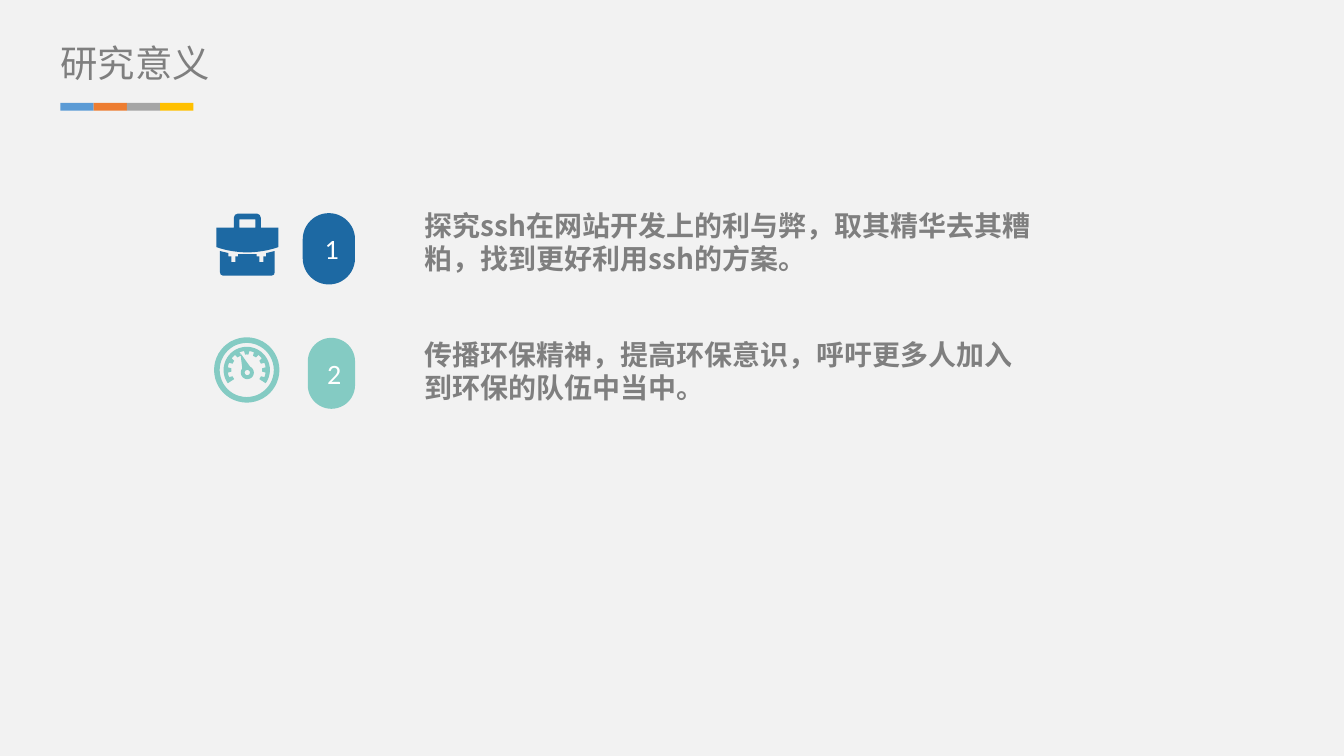
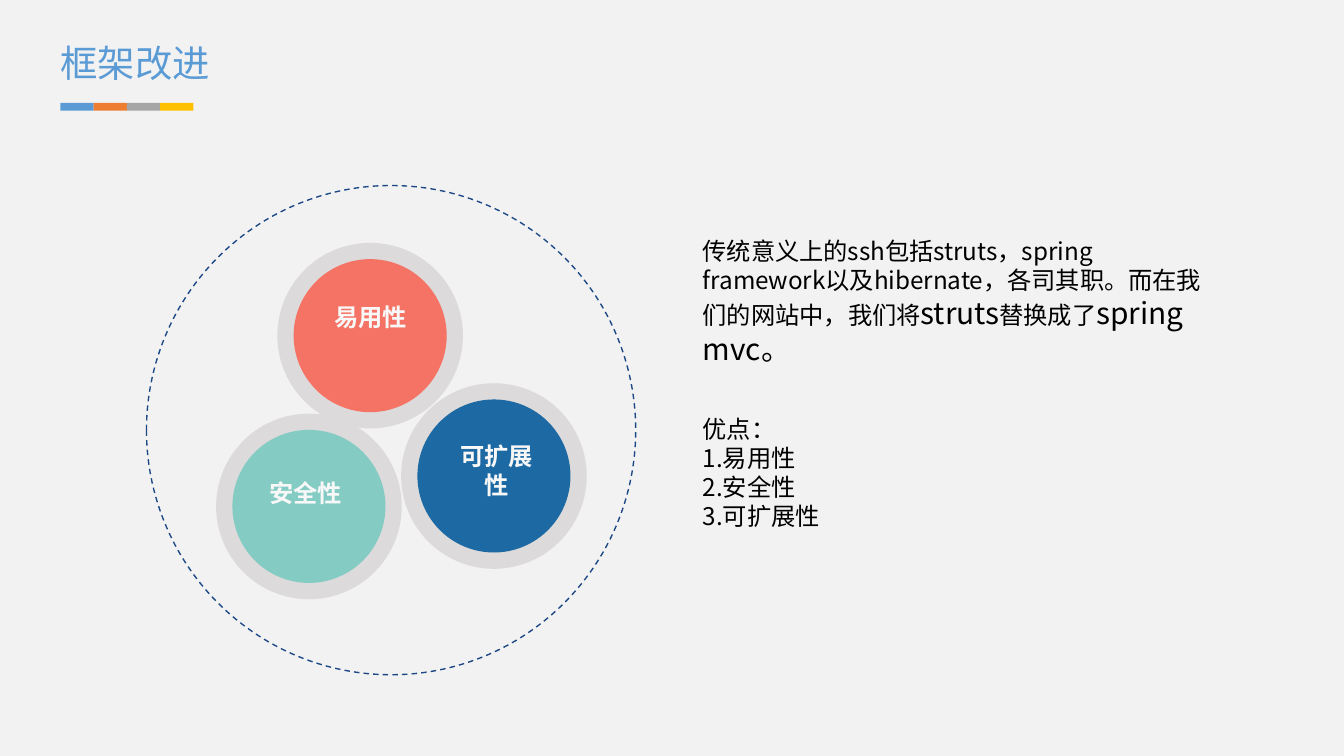
from math import cos, radians, sin

from lxml.etree import SubElement
from pptx import Presentation
from pptx.dml.color import RGBColor
from pptx.enum.dml import MSO_LINE
from pptx.enum.shapes import MSO_SHAPE as Shape
from pptx.enum.text import MSO_ANCHOR as Anchor, PP_ALIGN as Align
from pptx.oxml.ns import qn
from pptx.util import Pt

CJK_FONT = "Noto Sans CJK SC"
BACKGROUND, GRAY, WHITE, BLACK = "F2F2F2", "7F7F7F", "FFFFFF", "000000"
BLUE, TEAL, CORAL, SKY = "1D69A3", "84CBC3", "F57365", "5B9BD5"
RING_GRAY, LABEL_WHITE, ORBIT_BLUE = "DCDADA", "F8F8F8", "1C4885"
BAND_COLORS = [SKY, "ED7D31", "A5A5A5", "FFC000"]
BAND_LEFT, BAND_TOP, BAND_WIDTH, BAND_HEIGHT = 32.4, 55.2, 17.8, 4.2

POINTS = [
    dict(number="1", icon="briefcase", color=BLUE, pill=(162.2, 114.2, 28, 38.2), text_top=108,
         text="探究ssh在网站开发上的利与弊，取其精华去其糟粕，找到更好利用ssh的方案。"),
    dict(number="2", icon="gauge", color=TEAL, pill=(164.9, 181, 25.3, 38), text_top=177.1,
         text="传播环保精神，提高环保意识，呼吁更多人加入到环保的队伍中当中。"),
]

ORBIT = (78.5, 99.4, 262.1, 262.1)
RING_SIZE, DISC_SIZE = 99.4, 82
QUALITIES = [
    ("安全性", TEAL, (165.5, 271.3), (136.8, 252.7)),
    ("可扩展性", BLUE, (264.6, 255), (239, 232.6)),
    ("易用性", CORAL, (198.3, 179.8), (171.4, 158.4)),
]
SUMMARY = [[
    ("传统意义上的ssh包括struts，spring framework以及hibernate，各司其职。而在我们的网站中，我们将", 13),
    ("struts", 16), ("替换成了", 13), ("spring mvc。", 16),
]]
ADVANTAGES = ["优点：", "1.易用性", "2.安全性", "3.可扩展性"]


def rgb(color):
    return RGBColor.from_string(color)


def write(shape, paragraphs, size=13, color=BLACK, bold=False, font=CJK_FONT,
          align=Align.LEFT, anchor=Anchor.TOP, insets=(7.2, 3.6, 7.2, 3.6), wrap=True):
    frame = shape.text_frame
    frame.word_wrap = wrap
    frame.vertical_anchor = anchor
    frame.margin_left, frame.margin_top, frame.margin_right, frame.margin_bottom = map(Pt, insets)
    for index, content in enumerate(paragraphs):
        paragraph = frame.add_paragraph() if index else frame.paragraphs[0]
        paragraph.alignment = align
        runs = [(content, size)] if isinstance(content, str) else content
        for text, run_size in runs:
            run = paragraph.add_run()
            run.text = text
            run.font.size = Pt(run_size)
            run.font.bold = bold
            run.font.color.rgb = rgb(color)
            run.font.name = font
            SubElement(run.font._element, qn("a:ea")).set("typeface", font)


def paint(shape, color):
    shape.shadow.inherit = False
    shape.fill.solid()
    shape.fill.fore_color.rgb = rgb(color)
    shape.line.fill.background()


def add_filled(shapes, kind, box, color):
    shape = shapes.add_shape(kind, *map(Pt, box))
    paint(shape, color)
    return shape


def add_text(slide, box, paragraphs, **style):
    write(slide.shapes.add_textbox(*map(Pt, box)), paragraphs, **style)


def add_outline(slide, contours, color):
    contours = [[(Pt(x), Pt(y)) for x, y in contour] for contour in contours]
    builder = slide.shapes.build_freeform(*contours[0][0], scale=1.0)
    for index, contour in enumerate(contours):
        if index:
            builder.move_to(*contour[0])
        builder.add_line_segments(contour[1:], close=True)
    paint(builder.convert_to_shape(), color)


def centered(center, size):
    return center[0] - size / 2, center[1] - size / 2, size, size


def arc(center, radius, start=0, end=360, steps=48):
    angles = [radians(start + (end - start) * step / steps) for step in range(steps + 1)]
    return [(center[0] + radius * cos(angle), center[1] + radius * sin(angle)) for angle in angles]


def briefcase():
    left, top, width = 115.9, 114.4, 33.2

    def mirrored(half):
        return half + [(width - x, y) for x, y in reversed(half)]

    sag = [(width * step / 16, 18 + 11.2 * step / 16 * (1 - step / 16)) for step in range(17)]
    flap = [(width, 7.6), (0, 7.6)] + sag
    handle = mirrored([(12.3, 7.6), (9.4, 7.6), (9.4, 2.2), (10, 0.7), (11.5, 0)])
    handle += [(width - 12.3, 7.6), (width - 12.3, 3.1), (12.3, 3.1)]
    body = mirrored([(3.4, 33.2), (2.3, 32.7), (1.9, 31.4), (1.9, 20.1), (6.5, 21.2), (6.5, 22.9),
                     (8, 22.9), (8, 26), (10.2, 26), (10.2, 22.9), (11.6, 22.9), (11.6, 21.8)])
    return [[(left + x, top + y) for x, y in contour] for contour in (flap, handle, body)]


def gauge():
    center, hub = (132.2, 198.2), (132.5, 199.6)
    dial = arc(center, 12.4, 145, 395)
    for tooth in range(390, 149, -30):
        dial += arc(center, 8.3, tooth + 6, tooth - 6, 4)
        if tooth > 150:
            dial += arc(center, 10.2, tooth - 8, tooth - 22, 4)
    needle = [(128.8, 189.2)] + arc(hub, 3.5, -65, 220, 24)
    return [arc(center, 17.5), arc(center, 14.5), dial, needle, arc(hub, 1.4)]


ICONS = {"briefcase": briefcase, "gauge": gauge}


def add_titled_slide(presentation, title, color):
    slide = presentation.slides.add_slide(presentation.slide_layouts[5])
    placeholder = slide.shapes.title
    placeholder.left, placeholder.top, placeholder.width, placeholder.height = map(
        Pt, (32.4, 21.6, 218.9, 24))
    write(placeholder, [title], size=20, color=color, insets=(0, 0, 0, 0))
    band = slide.shapes.add_group_shape()
    for index, band_color in enumerate(BAND_COLORS):
        box = (BAND_LEFT + index * BAND_WIDTH, BAND_TOP, BAND_WIDTH, BAND_HEIGHT)
        add_filled(band.shapes, Shape.RECTANGLE, box, band_color)
    return slide


def build_significance(presentation):
    slide = add_titled_slide(presentation, "研究意义", GRAY)
    for point in POINTS:
        pill = add_filled(slide.shapes, Shape.ROUNDED_RECTANGLE, point["pill"], point["color"])
        pill.adjustments[0] = 0.5
        write(pill, [point["number"]], size=15, color=WHITE, font="Calibri", align=Align.CENTER,
              anchor=Anchor.MIDDLE, insets=(3, 0, 0, 0), wrap=False)
        add_outline(slide, ICONS[point["icon"]](), point["color"])
        add_text(slide, (220.3, point["text_top"], 339.8, 43.2), [point["text"]],
                 size=15, color=GRAY, bold=True)


def build_improvement(presentation):
    slide = add_titled_slide(presentation, "框架改进", SKY)
    orbit = slide.shapes.add_shape(Shape.OVAL, *map(Pt, ORBIT))
    orbit.shadow.inherit = False
    orbit.fill.background()
    orbit.line.color.rgb = rgb(ORBIT_BLUE)
    orbit.line.width = Pt(0.75)
    orbit.line.dash_style = MSO_LINE.DASH
    for _, color, center, _ in QUALITIES:
        add_filled(slide.shapes, Shape.OVAL, centered(center, RING_SIZE), RING_GRAY)
        add_filled(slide.shapes, Shape.OVAL, centered(center, DISC_SIZE), color)
    for label, _, _, corner in QUALITIES:
        add_text(slide, (*corner, 54, 38.9), [label], color=LABEL_WHITE, bold=True,
                 align=Align.CENTER)
    add_text(slide, (369.4, 123.1, 288.7, 77), SUMMARY)
    add_text(slide, (369.4, 218.2, 288.7, 69.8), ADVANTAGES)


def main():
    presentation = Presentation()
    presentation.slide_width, presentation.slide_height = Pt(720), Pt(405)
    background = presentation.slide_master.background.fill
    background.solid()
    background.fore_color.rgb = rgb(BACKGROUND)
    build_significance(presentation)
    build_improvement(presentation)
    presentation.save("out.pptx")


if __name__ == "__main__":
    main()
